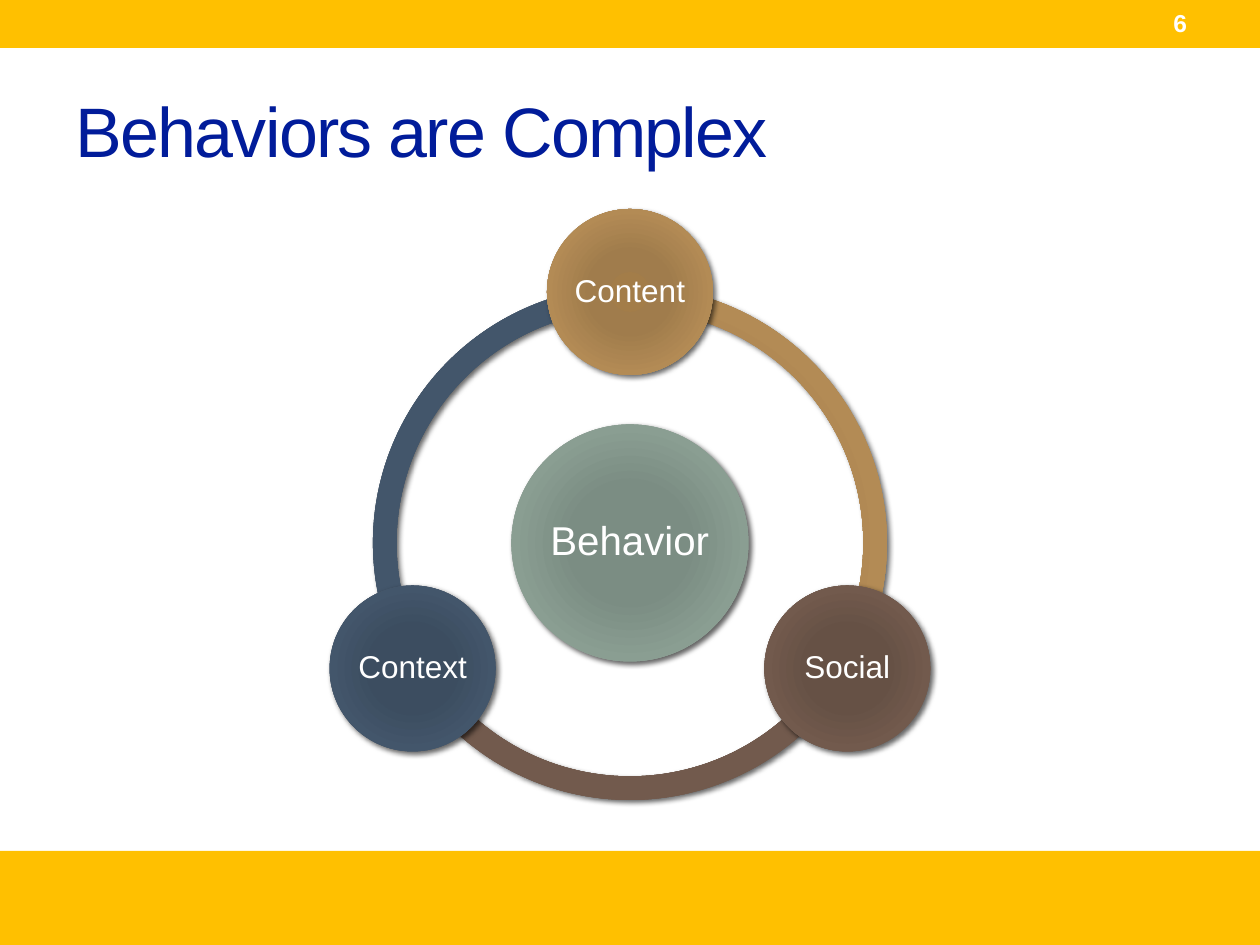
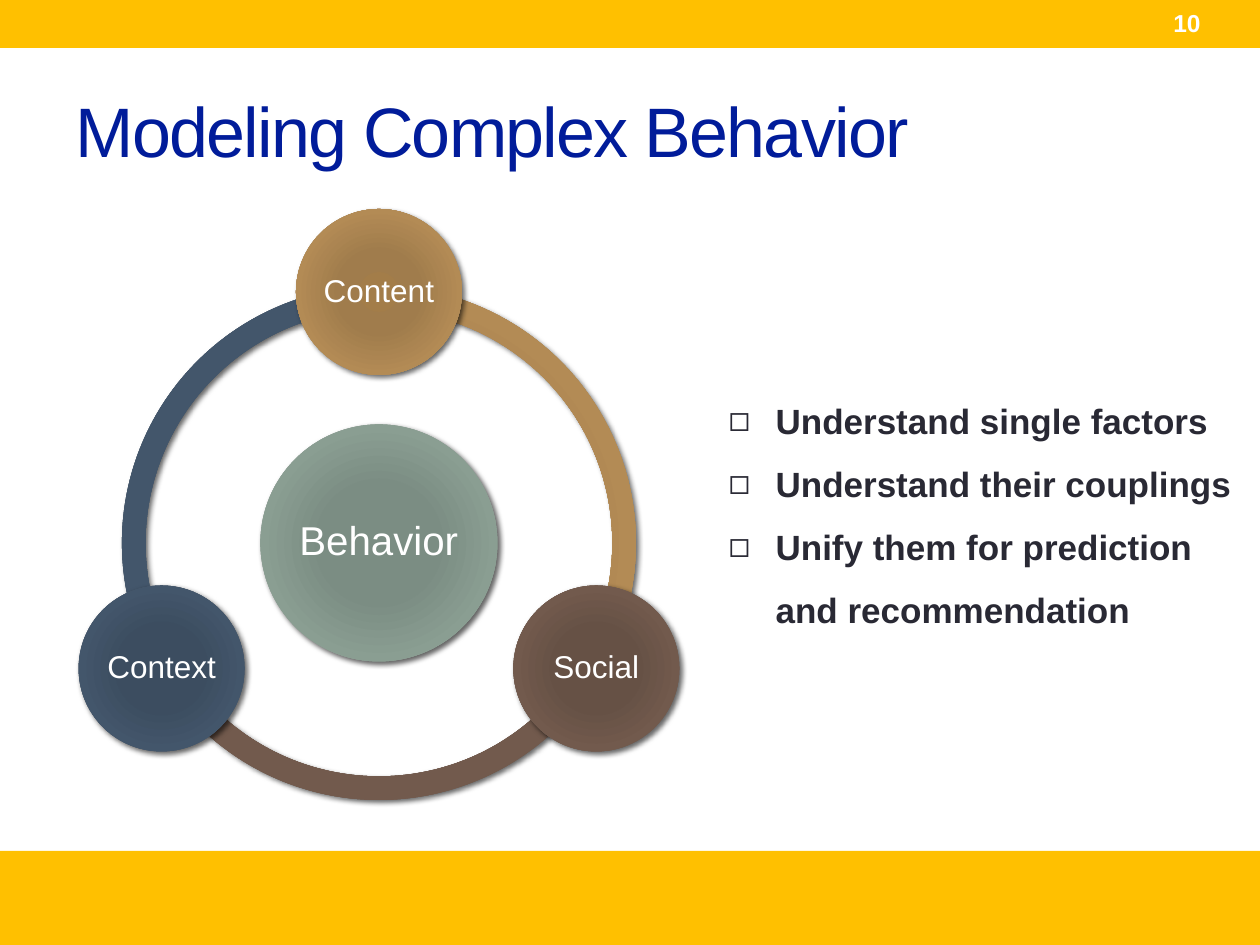
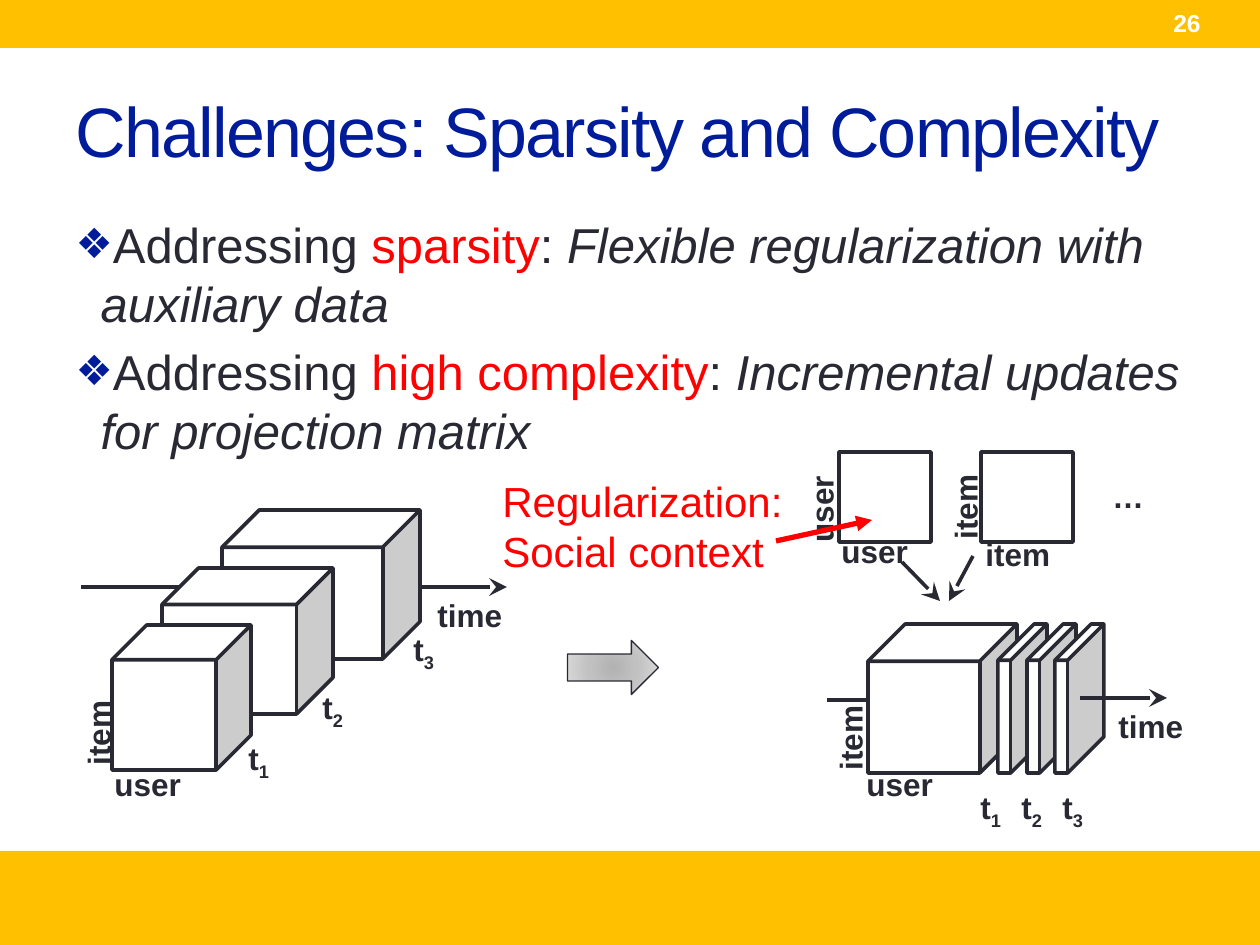
from dataclasses import dataclass
from math import cos, radians, sin

from lxml import etree
from pptx import Presentation
from pptx.dml.color import RGBColor
from pptx.enum.shapes import MSO_CONNECTOR, MSO_SHAPE
from pptx.enum.text import MSO_ANCHOR, MSO_AUTO_SIZE, PP_ALIGN
from pptx.oxml.ns import qn
from pptx.util import Emu, Inches, Pt

ARC, OVAL, CUBE = MSO_SHAPE.BLOCK_ARC, MSO_SHAPE.OVAL, MSO_SHAPE.CUBE
RECT, ARROW = MSO_SHAPE.RECTANGLE, MSO_SHAPE.DOWN_ARROW
LINE = MSO_CONNECTOR.STRAIGHT
LEFT, CENTER = PP_ALIGN.LEFT, PP_ALIGN.CENTER
TOP, MIDDLE = MSO_ANCHOR.TOP, MSO_ANCHOR.MIDDLE
FIXED = MSO_AUTO_SIZE.NONE

PX = Inches(1) / 126
WIDE, HIGH = 1260, 945
TITLED, LISTED = 5, 1  # layout numbers


@dataclass(frozen=True)
class Theme:
    font: str = "Arial"
    band: str = "FFC000"
    head: str = "011C9A"
    ink: str = "292934"
    hot: str = "FF0000"
    white: str = "FFFFFF"
    # Gradients run from the centre outwards: (percent, colour).
    navy: tuple = ((0, "3B4D61"), (34, "3C4D60"), (70, "43566B"), (100, "4C5A6A"))
    brown: tuple = ((0, "685044"), (34, "665145"), (70, "725A4D"), (100, "726056"))
    gold: tuple = ((0, "A37D49"), (34, "A07C4C"), (70, "B38B55"), (100, "AD8F67"))
    sage: tuple = ((0, "7B8E82"), (34, "7B8D83"), (70, "8A9E92"), (100, "93A299"))
    gray: tuple = ((0, "B2B2B3"), (45, "C1C1C2"), (100, "DDDDDE"))
    title: int = 40
    body: int = 28
    note: int = 24
    core: int = 23
    list: int = 20
    label: int = 18
    page: int = 14
    rule: float = 2.08


def px(*nums):
    return [Emu(round(n * PX)) for n in nums]


def rgb(code):
    return RGBColor.from_string(code)


def node(parent, tag, **attrs):
    return etree.SubElement(parent, qn(tag), {k: str(v) for k, v in attrs.items()})


class Deck:
    def __init__(self, theme):
        self.theme = theme
        self.file = Presentation()
        self.file.slide_width, self.file.slide_height = px(WIDE, HIGH)
        self.slide = None

    def start(self, title, page, layout):
        """Add a slide with its bands, title and page number."""
        t = self.theme
        self.slide = self.file.slides.add_slide(self.file.slide_layouts[layout])
        for top, high in ((0, 48), (851, HIGH - 851)):
            self.shape(RECT, (0, top, WIDE, high), t.band)
        head = self.place(self.slide.shapes.title, (63, 61, 1134, 136), MIDDLE)
        run = self.run(self.para(head), title, t.title, t.head)
        run.font._element.set("spc", "-100")
        num = self.text((1161, 0, 99, 45), MIDDLE)
        self.run(self.para(num), page, t.page, t.white, bold=True)

    def place(self, holder, box, anchor):
        holder.left, holder.top, holder.width, holder.height = px(*box)
        frame = holder.text_frame
        frame.word_wrap, frame.auto_size = True, FIXED
        frame.vertical_anchor = anchor
        return frame

    def text(self, box, anchor=TOP, turn=0):
        item = self.slide.shapes.add_textbox(*px(*box))
        item.rotation = turn
        frame = item.text_frame
        frame.word_wrap, frame.vertical_anchor = False, anchor
        return frame

    def para(self, frame, first=True, align=LEFT):
        p = frame.paragraphs[0] if first else frame.add_paragraph()
        p.alignment = align
        return p

    def run(self, p, text, size, color, bold=False, slant=False):
        run = p.add_run()
        run.text = text
        font = run.font
        font.name, font.size = self.theme.font, Pt(size)
        font.bold, font.italic = bold, slant
        font.color.rgb = rgb(color)
        return run

    def shape(self, kind, box, fill, line=None, width=0, adjust=(), turn=0):
        """Add a shape; fill is a colour or a tuple of gradient stops."""
        item = self.slide.shapes.add_shape(kind, *px(*box))
        item.shadow.inherit = False
        item.rotation = turn
        for i, value in enumerate(adjust):
            item.adjustments[i] = value
        if isinstance(fill, str):
            item.fill.solid()
            item.fill.fore_color.rgb = rgb(fill)
        else:
            self.blend(item, fill)
        if line:
            item.line.color.rgb = rgb(line)
            item.line.width = Pt(width)
        else:
            item.line.fill.background()
        return item

    def blend(self, item, stops):
        item.fill.gradient()
        grad = item._element.spPr.find(qn("a:gradFill"))
        grad.clear()
        group = node(grad, "a:gsLst")
        for spot, color in stops:
            stop = node(group, "a:gs", pos=spot * 1000)
            node(stop, "a:srgbClr", val=color)
        round_fill = node(grad, "a:path", path="circle")
        node(round_fill, "a:fillToRect", **dict.fromkeys("ltrb", 100000))

    def shade(self, item):
        effect = item._element.spPr.find(qn("a:effectLst"))
        cast = node(effect, "a:outerShdw", blurRad=Pt(3), dist=Pt(2),
                    dir=45 * 60000, rotWithShape=0)
        node(node(cast, "a:srgbClr", val="000000"), "a:alpha", val=60000)

    def disc(self, x, y, size, fill, word, points):
        """Add a shaded circle around x, y with a word in it."""
        item = self.shape(OVAL, (x - size / 2, y - size / 2, size, size), fill)
        self.shade(item)
        frame = item.text_frame
        frame.word_wrap, frame.vertical_anchor = False, MIDDLE
        pad, = px(4)
        frame.margin_left = frame.margin_right = pad
        frame.margin_top = frame.margin_bottom = pad
        p = self.para(frame, align=CENTER)
        p.line_spacing = 0.9
        self.run(p, word, points, self.theme.white)

    def ring(self, x, y):
        """Draw the three factors on a ring around the behavior."""
        t = self.theme
        size, reach = 514, 251
        box = (x - size / 2, y - size / 2, size, size)
        for start, fill in ((150, t.navy), (30, t.brown), (270, t.gold)):
            ends = (start * 0.6, (start + 120) % 360 * 0.6, 0.046)
            self.shade(self.shape(ARC, box, fill, adjust=ends))
        self.disc(x, y, 237, t.sage, "Behavior", t.core)
        for angle, fill, word in ((270, t.gold, "Content"), (30, t.brown, "Social"),
                                  (150, t.navy, "Context")):
            turn = radians(angle)
            self.disc(x + reach * cos(turn), y + reach * sin(turn), 166,
                      fill, word, t.label)

    def bullets(self, box, items, mark, indent, size, gap=0, pitch=1.0,
                bold=False, tint=None):
        """Fill the body; each item is a list of (text, colour, slant)."""
        frame = self.place(self.slide.placeholders[1], box, TOP)
        for i, parts in enumerate(items):
            p = self.para(frame, i == 0)
            p.space_before = Pt(gap if i else 0)
            p.line_spacing = pitch
            props = p._p.get_or_add_pPr()
            step, = px(indent)
            props.set("marL", str(step))
            props.set("indent", str(-step))
            if tint:
                node(node(props, "a:buClr"), "a:srgbClr", val=tint)
                node(props, "a:buSzPct", val=85000)
            node(props, "a:buFont", typeface=self.theme.font)
            node(props, "a:buChar", char=mark)
            for text, color, slant in parts:
                self.run(p, text, size, color, bold, slant)

    def label(self, x, y, word, sub="", turn=0):
        t = self.theme
        frame = self.text((x, y, 50 if sub else 94, 50), turn=turn)
        p = self.para(frame)
        self.run(p, word, t.label, t.ink, bold=True)
        if sub:
            low = self.run(p, sub, t.label, t.ink, bold=True)
            low.font._element.set("baseline", "-25000")

    def line(self, ends, tip=None, size="lg", color=None, width=None):
        item = self.slide.shapes.add_connector(LINE, *px(*ends))
        item.line.color.rgb = rgb(color or self.theme.ink)
        item.line.width = Pt(width or self.theme.rule)
        if tip:
            node(item.line._get_or_add_ln(), "a:tailEnd", type=tip, w=size, len=size)
        node(item._element.spPr, "a:effectLst")

    def cube(self, box, depth=0.25):
        t = self.theme
        self.shape(CUBE, box, t.white, t.ink, t.rule, (depth,))


def complex_slide(deck):
    deck.start("Behaviors are Complex", "6", TITLED)
    deck.ring(630, 543)


def model_slide(deck):
    t = deck.theme
    deck.start("Modeling Complex Behavior", "10", LISTED)
    deck.ring(379, 543)
    goals = ("Understand single factors", "Understand their couplings",
             "Unify them for prediction and recommendation")
    deck.bullets((716, 372, 544, 267), [[(goal, t.ink, False)] for goal in goals],
                 "◻", 47, t.list, pitch=1.5, bold=True)


def tensors(deck):
    """Draw the growing cubes along the time axis."""
    deck.line((81, 587, 209, 587))
    for box in ((222, 510, 198, 149), (162, 568, 171, 146), (112, 625, 139, 145)):
        deck.cube(box)
    deck.line((420, 587, 507, 587), "stealth")
    deck.label(425, 590, "time")
    deck.label(102, 759, "user")
    deck.label(51, 706, "item", turn=270)
    for x, y, sub in ((236, 733, "1"), (310, 682, "2"), (401, 624, "3")):
        deck.label(x, y, "t", sub)


def updates(deck):
    """Draw one cube with thin slices added over time."""
    deck.line((827, 700, 942, 700))
    deck.cube((868, 624, 149, 149))
    for x in (998, 1027, 1055):
        deck.cube((x, 624, 49, 149), 0.74)
    deck.line((1080, 698, 1167, 698), "stealth")
    deck.label(1106, 701, "time")
    deck.label(854, 759, "user")
    deck.label(803, 711, "item", turn=270)
    for i in range(3):
        deck.label(968 + 41 * i, 782, "t", str(i + 1))


def context(deck):
    """Draw the side matrices that feed the updates."""
    t = deck.theme
    for x in (839, 981):
        deck.cube((x, 452, 92, 90), 0)
    deck.label(1100, 471, "…")
    deck.label(829, 526, "user")
    deck.label(774, 483, "user", turn=270)
    deck.label(918, 480, "item", turn=270)
    deck.label(973, 529, "item")
    deck.line((902, 562, 940, 601), "stealth")
    deck.line((973, 556, 949, 601), "stealth")
    frame = deck.text((490, 469, 312, 115))
    for i, words in enumerate(("Regularization:", "Social context")):
        deck.run(deck.para(frame, i == 0), words, t.note, t.hot)
    deck.line((776, 541, 872, 520), "triangle", "med", t.hot, 3)


def sparse_slide(deck):
    t = deck.theme
    deck.start("Challenges: Sparsity and Complexity", "26", LISTED)
    pairs = (("sparsity", "Flexible regularization with auxiliary data"),
             ("high complexity", "Incremental updates for projection matrix"))
    items = [[("Addressing ", t.ink, False), (need, t.hot, False),
              (": ", t.ink, False), (means, t.ink, True)] for need, means in pairs]
    deck.bullets((63, 208, 1134, 625), items, "❖", 25, t.body, gap=5.6, tint=t.head)
    tensors(deck)
    updates(deck)
    deck.shape(ARROW, (586, 622, 54, 91), t.gray, t.ink, 0.75, turn=270)
    context(deck)


def main():
    deck = Deck(Theme())
    complex_slide(deck)
    model_slide(deck)
    sparse_slide(deck)
    deck.file.save("out.pptx")


if __name__ == "__main__":
    main()
